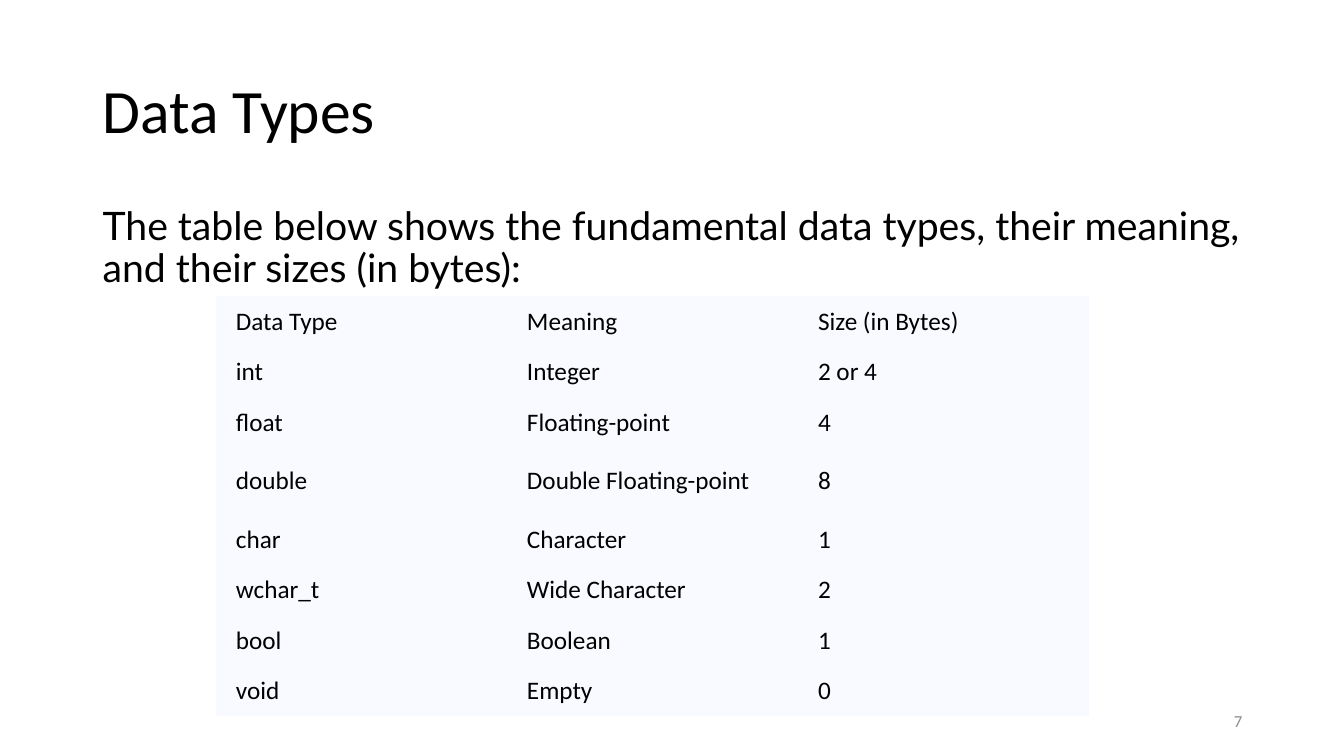
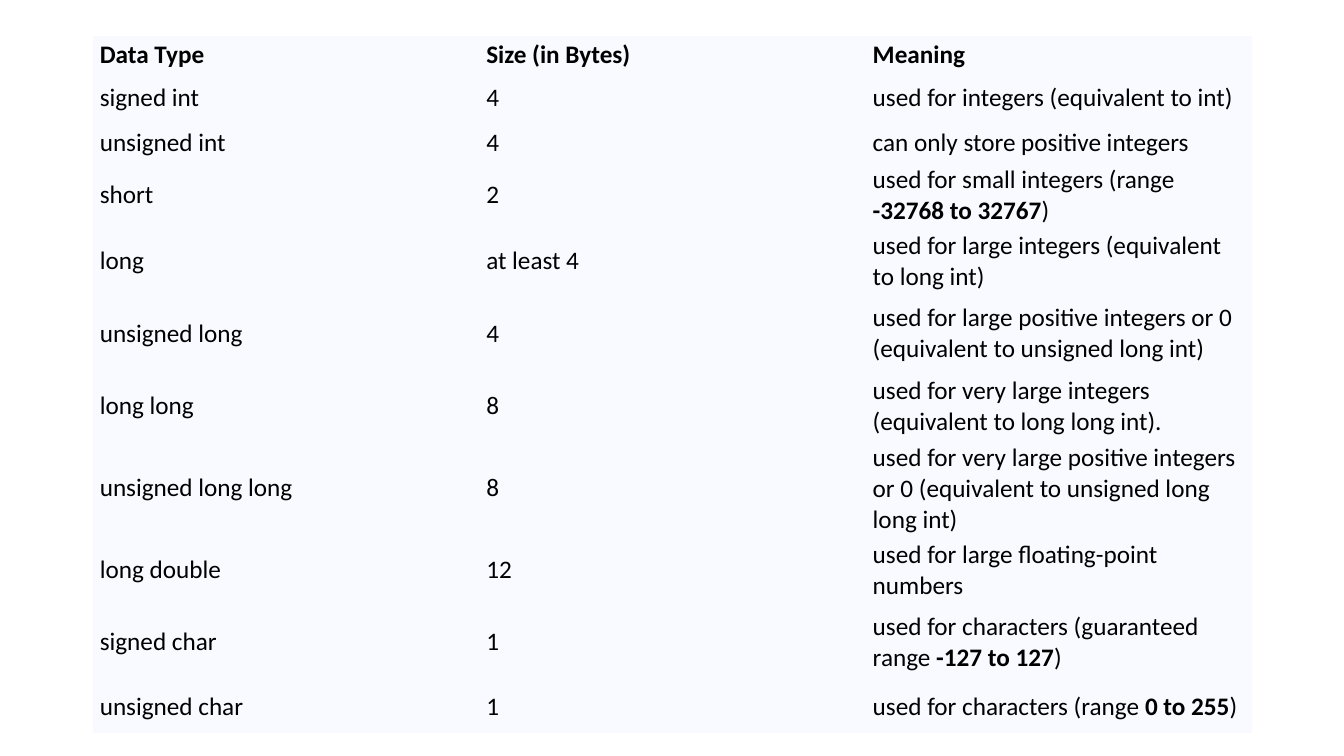
from pptx import Presentation
from pptx.dml.color import RGBColor
from pptx.enum.text import MSO_ANCHOR, PP_ALIGN
from pptx.oxml.ns import qn
from pptx.util import Inches, Pt

TOP, MIDDLE = MSO_ANCHOR.TOP, MSO_ANCHOR.MIDDLE
LEFT, RIGHT = PP_ALIGN.LEFT, PP_ALIGN.RIGHT
COLORS = {"text": "000000", "number": "8C8C8C", "cell": "F8FAFF"}
PLAIN_TABLE = "{2D5ABB26-0587-4C30-8999-92F81FD0307C}"
MARGIN, CONTENT_W = 0.92, 11.5
STYLES = {
    "title": {"size": Pt(44), "name": "Calibri"},
    "body": {"size": Pt(28), "name": "Lato"},
    "number": {"size": Pt(12), "name": "Calibri"},
    "cell": {"size": Pt(18), "name": "Calibri"},
}

BASIC_TYPES = [
    ("Data Type", "Meaning", "Size (in Bytes)"),
    ("int", "Integer", "2 or 4"),
    ("float", "Floating-point", "4"),
    ("double", "Double Floating-point", "8"),
    ("char", "Character", "1"),
    ("wchar_t", "Wide Character", "2"),
    ("bool", "Boolean", "1"),
    ("void", "Empty", "0"),
]
BASIC_HEIGHTS = [0.41] * 3 + [0.66] + [0.41] * 4

MODIFIED_TYPES = [
    ("**Data Type**", "**Size (in Bytes)**", "**Meaning**"),
    ("signed int", "4", "used for integers (equivalent to int)"),
    ("unsigned int", "4", "can only store positive integers"),
    ("short", "2", "used for small integers (range **-32768 to 32767**)"),
    ("long", "at least 4", "used for large integers (equivalent to long int)"),
    ("unsigned long", "4",
     "used for large positive integers or 0 (equivalent to unsigned long int)"),
    ("long long", "8",
     "used for very large integers (equivalent to long long int)."),
    ("unsigned long long", "8",
     "used for very large positive integers or 0 "
     "(equivalent to unsigned long long int)"),
    ("long double", "12", "used for large floating-point numbers"),
    ("signed char", "1",
     "used for characters (guaranteed range **-127 to 127**)"),
    ("unsigned char", "1", "used for characters (range **0 to 255**)"),
]
MODIFIED_HEIGHTS = [0.23, 0.51, 0.37, 0.51, 0.64, 0.78, 0.64, 0.92, 0.51,
                    0.78, 0.51]


class Deck:
    """Holds the presentation, its shared style and the current slide."""

    def __init__(self):
        self.prs = Presentation()
        self.prs.slide_width = Inches(13.33)
        self.prs.slide_height = Inches(7.5)
        self.s = None

    def new_slide(self):
        self.s = self.prs.slides.add_slide(self.prs.slide_layouts[6])

    def add_runs(self, p, text, style, color="text"):
        for i, part in enumerate(text.split("**")):
            if part:
                r = p.add_run()
                r.text = part
                for key, value in STYLES[style].items():
                    setattr(r.font, key, value)
                r.font.bold = i % 2 == 1
                r.font.color.rgb = RGBColor.from_string(COLORS[color])

    def text(self, text, box, style, color="text", anchor=MIDDLE, align=LEFT,
             spacing=0.9):
        sp = self.s.shapes.add_textbox(*map(Inches, box))
        tf = sp.text_frame
        tf.word_wrap = True
        tf.vertical_anchor = anchor
        p = tf.paragraphs[0]
        p.alignment = align
        p.line_spacing = spacing
        self.add_runs(p, text, style, color)

    def title(self, text):
        self.text(text, (MARGIN, 0.4, CONTENT_W, 1.45), "title")

    def body(self, text):
        self.text(text, (MARGIN, 2, CONTENT_W, 4.76), "body", anchor=TOP)

    def number(self, text):
        self.text(text, (9.42, 6.95, 3, 0.4), "number", "number",
                  align=RIGHT, spacing=1.0)

    def table(self, rows, heights, left, top, width, pad_x, pad_y):
        cols = len(rows[0])
        frame = self.s.shapes.add_table(
            len(rows), cols, Inches(left), Inches(top), Inches(width),
            Inches(sum(heights)))
        table = frame.table
        table.first_row = table.horz_banding = False
        table._tbl.tblPr.find(qn("a:tableStyleId")).text = PLAIN_TABLE
        for col in table.columns:
            col.width = Inches(width / cols)
        cell_format = {
            "margin_left": Inches(pad_x), "margin_right": Inches(pad_x),
            "margin_top": Inches(pad_y), "margin_bottom": Inches(pad_y),
            "vertical_anchor": MIDDLE,
        }
        for row, height, texts in zip(table.rows, heights, rows):
            row.height = Inches(height)
            for cell, text in zip(row.cells, texts):
                for key, value in cell_format.items():
                    setattr(cell, key, value)
                cell.fill.solid()
                cell.fill.fore_color.rgb = RGBColor.from_string(COLORS["cell"])
                self.add_runs(cell.text_frame.paragraphs[0], text, "cell")


def main():
    deck = Deck()

    deck.new_slide()
    deck.title("Data Types")
    deck.body("The table below shows the fundamental data types, "
              "their meaning, and their sizes (in bytes):")
    deck.number("7")
    deck.table(BASIC_TYPES, BASIC_HEIGHTS, 2.14, 2.94, 8.66, 0.2, 0.1)

    deck.new_slide()
    deck.table(MODIFIED_TYPES, MODIFIED_HEIGHTS, MARGIN, 0.36, CONTENT_W,
               0.07, 0.03)

    deck.prs.save("out.pptx")


if __name__ == "__main__":
    main()
